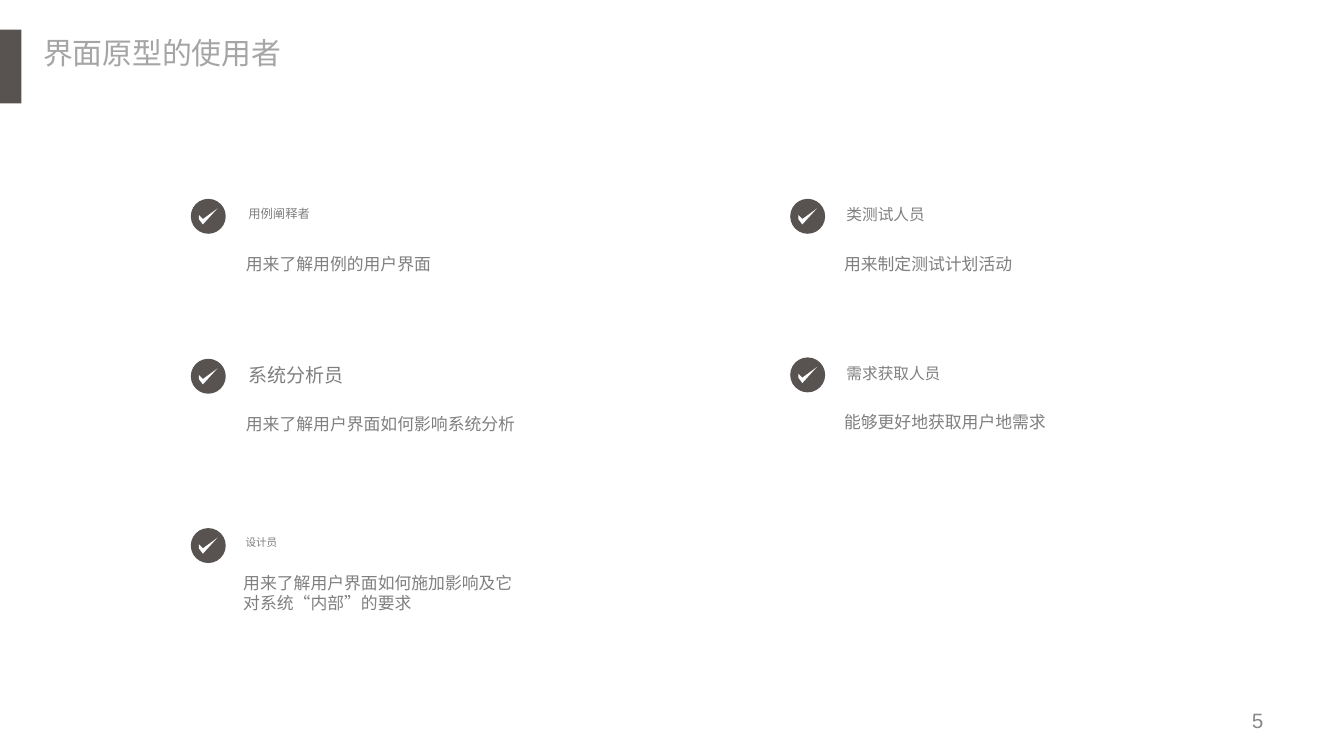
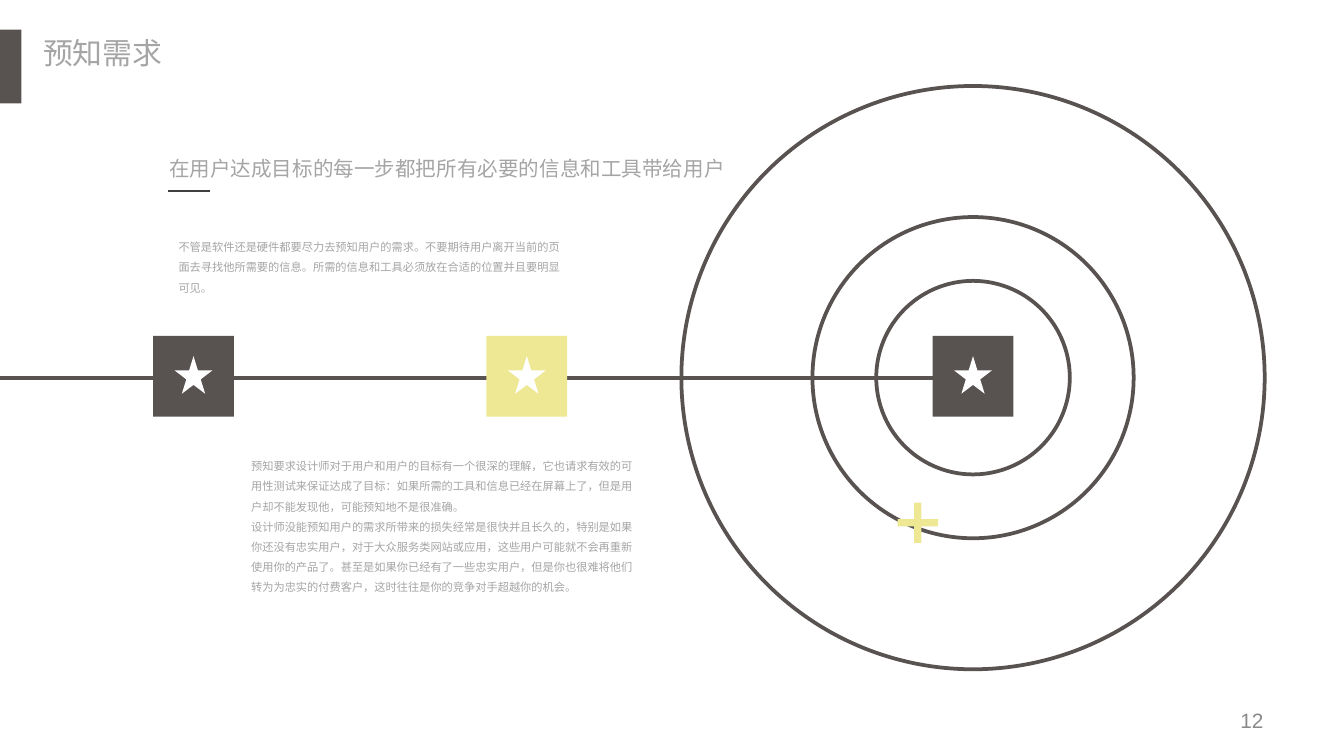
from lxml.etree import SubElement
from pptx import Presentation
from pptx.dml.color import RGBColor
from pptx.enum.shapes import MSO_CONNECTOR, MSO_SHAPE
from pptx.enum.text import MSO_ANCHOR, MSO_AUTO_SIZE, PP_ALIGN
from pptx.oxml.ns import qn
from pptx.util import Inches, Pt

DARK = RGBColor(0x58, 0x52, 0x51)
YELLOW = RGBColor(0xEE, 0xE8, 0x95)
WHITE = RGBColor(0xFF, 0xFF, 0xFF)
TITLE_GRAY = RGBColor(0xA5, 0xA5, 0xA5)
TEXT_GRAY = RGBColor(0x7F, 0x7F, 0x7F)
NUMBER_GRAY = RGBColor(0x89, 0x89, 0x89)
RULE_GRAY = RGBColor(0x3F, 0x3F, 0x3F)
CHINESE_FONT = "Noto Sans CJK SC"
TITLE_SIZE = 16

BADGE_SIZE = 0.26
CHECK_POINTS = [(0.06, 0.15), (0.09, 0.19), (0.19, 0.08), (0.2, 0.07), (0.09, 0.15), (0.06, 0.12)]
# left, top, text indent, label, label size, label height, line spacing, description
USERS = [
    (1.42, 1.48, 0.33, "用例阐释者", 6.6, 0.22, 0.8, "用来了解用例的用户界面"),
    (5.88, 1.48, 0.32, "类测试人员", 8.4, 0.24, 0.8, "用来制定测试计划活动"),
    (1.42, 2.67, 0.33, "系统分析员", 10.2, 0.28, 0.9, "用来了解用户界面如何影响系统分析"),
    (5.88, 2.66, 0.32, "需求获取人员", 8.4, 0.24, 0.8, "能够更好地获取用户地需求"),
    (1.42, 3.93, 0.31, "设计员", 5.7, 0.21, 0.8, "用来了解用户界面如何施加影响及它对系统“内部”的要求"),
]

CENTER_X, CENTER_Y = 7.24, 2.81
RING_DIAMETERS = [1.44, 2.39, 4.34]
TILE_SIZE = 0.6
STAR_SIZE = 0.28
TILES = [(1.44, DARK), (3.92, YELLOW), (CENTER_X, DARK)]

INTRODUCTION = "不管是软件还是硬件都要尽力去预知用户的需求。不要期待用户离开当前的页面去寻找他所需要的信息。所需的信息和工具必须放在合适的位置并且要明显可见。"
EXPLANATION = (
    "预知要求设计师对于用户和用户的目标有一个很深的理解，它也请求有效的可用性测试来保证达成了目标：如果所需的工具和信息已经在屏幕上了，但是用户却不能发现他，可能预知地不是很准确。\n"
    "设计师没能预知用户的需求所带来的损失经常是很快并且长久的，特别是如果你还没有忠实用户，对于大众服务类网站或应用，这些用户可能就不会再重新使用你的产品了。"
    "甚至是如果你已经有了一些忠实用户，但是你也很难将他们转为为忠实的付费客户，这时往往是你的竞争对手超越你的机会。"
)


def add_text(slide, text, left, top, width, height, *, size, color=TEXT_GRAY,
             font=CHINESE_FONT, align=PP_ALIGN.LEFT, anchor=MSO_ANCHOR.TOP,
             spacing=1.0, margins=(0.1, 0.05, 0.1, 0.05), wrap=True, grow=False):
    """Add a text box; each line of the text becomes a paragraph."""
    box = slide.shapes.add_textbox(Inches(left), Inches(top), Inches(width), Inches(height))
    frame = box.text_frame
    frame.word_wrap = wrap
    frame.auto_size = MSO_AUTO_SIZE.SHAPE_TO_FIT_TEXT if grow else MSO_AUTO_SIZE.NONE
    frame.vertical_anchor = anchor
    frame.margin_left, frame.margin_top, frame.margin_right, frame.margin_bottom = map(Inches, margins)
    frame.text = text
    for paragraph in frame.paragraphs:
        paragraph.alignment = align
        paragraph.line_spacing = spacing
        run = paragraph.runs[0]
        run.font.size = Pt(size)
        run.font.name = font
        run.font.color.rgb = color
        SubElement(run.font._element, qn("a:ea"), typeface=CHINESE_FONT)


def paint(shape, fill=None, line=None):
    shape.shadow.inherit = False
    if fill is None:
        shape.fill.background()
    else:
        shape.fill.solid()
        shape.fill.fore_color.rgb = fill
    if line is None:
        shape.line.fill.background()
    else:
        shape.line.color.rgb = line
        shape.line.width = Pt(2)


def add_preset(slide, kind, left, top, width, height, fill=None, line=None):
    shape = slide.shapes.add_shape(kind, Inches(left), Inches(top), Inches(width), Inches(height))
    paint(shape, fill, line)
    return shape


def add_centered(slide, kind, x, y, size, fill=None, line=None):
    return add_preset(slide, kind, x - size / 2, y - size / 2, size, size, fill, line)


def add_rule(slide, left, right, y, color, width):
    rule = slide.shapes.add_connector(
        MSO_CONNECTOR.STRAIGHT, Inches(left), Inches(y), Inches(right), Inches(y))
    rule.line.color.rgb = color
    rule.line.width = Pt(width)
    SubElement(rule._element.spPr, qn("a:effectLst"))


def add_base_slide(presentation, title, number):
    """Add a blank slide with the side band, title and page number."""
    slide = presentation.slides.add_slide(presentation.slide_layouts[6])
    add_text(slide, str(number), 7.17, 5.22, 2.33, 0.3, size=11.1, color=NUMBER_GRAY,
             font="Arial", align=PP_ALIGN.RIGHT, anchor=MSO_ANCHOR.MIDDLE, spacing=0.9)
    add_preset(slide, MSO_SHAPE.RECTANGLE, 0, 0.22, 0.16, 0.55, DARK)
    title_width = 0.18 + len(title) * TITLE_SIZE / 72
    add_text(slide, title, 0.24, 0.22, title_width, 0.34, size=TITLE_SIZE,
             color=TITLE_GRAY, margins=(0.08, 0.04, 0.08, 0.04), wrap=False, grow=True)
    return slide


def add_check_badge(slide, left, top):
    add_preset(slide, MSO_SHAPE.OVAL, left, top, BADGE_SIZE, BADGE_SIZE, DARK)
    points = [(Inches(left + x), Inches(top + y)) for x, y in CHECK_POINTS]
    builder = slide.shapes.build_freeform(*points[0])
    builder.add_line_segments(points[1:], close=True)
    paint(builder.convert_to_shape(), WHITE)


def add_user(slide, left, top, indent, label, size, label_height, spacing, description):
    add_check_badge(slide, left, top)
    label_top = top + min(0.01, 0.13 - label_height / 2)
    add_text(slide, label, left + indent, label_top, 1.5, label_height,
             size=size, anchor=MSO_ANCHOR.MIDDLE, spacing=spacing)
    add_text(slide, description, left + indent + 0.08, top + 0.23, 2.18, 0.5, size=9,
             anchor=MSO_ANCHOR.MIDDLE, margins=(0, 0.05, 0.1, 0.05))


def add_star_tile(slide, x, y, color):
    add_centered(slide, MSO_SHAPE.RECTANGLE, x, y, TILE_SIZE, color)
    add_centered(slide, MSO_SHAPE.STAR_5_POINT, x, y - 0.01, STAR_SIZE, WHITE)


def add_target(slide, x, y):
    """Draw the rings, the line leading to their centre and the star tiles on it."""
    for diameter in RING_DIAMETERS:
        add_centered(slide, MSO_SHAPE.OVAL, x, y, diameter, line=DARK)
    add_rule(slide, 0, x, y, DARK, 2)
    for tile_x, color in TILES:
        add_star_tile(slide, tile_x, y - 0.01, color)
    plus = add_centered(slide, MSO_SHAPE.CROSS, x - 0.41, y + 1.08, 0.3, YELLOW)
    plus.adjustments[0] = 0.41


def add_explanation(slide, left, top):
    add_text(slide, "在用户达成目标的每一步都把所有必要的信息和工具带给用户", left, top, 4.34, 0.29,
             size=11, color=TITLE_GRAY, font="Calibri", wrap=False, grow=True)
    add_rule(slide, left + 0.09, left + 0.4, top + 0.31, RULE_GRAY, 1)
    body = dict(size=6, color=TITLE_GRAY, font="Arial", spacing=1.5, grow=True)
    add_text(slide, INTRODUCTION, left + 0.07, top + 0.58, 3.08, 0.55, **body)
    add_text(slide, EXPLANATION, left + 0.61, top + 2.21, 3.08, 1.15, **body)


def build_users_slide(presentation):
    slide = add_base_slide(presentation, "界面原型的使用者", 5)
    for user in USERS:
        add_user(slide, *user)


def build_anticipation_slide(presentation):
    slide = add_base_slide(presentation, "预知需求", 12)
    add_target(slide, CENTER_X, CENTER_Y)
    add_explanation(slide, 1.16, 1.11)


def main():
    presentation = Presentation()
    presentation.slide_width = Inches(10)
    presentation.slide_height = Inches(10 * 9 / 16)
    build_users_slide(presentation)
    build_anticipation_slide(presentation)
    presentation.save("out.pptx")


if __name__ == "__main__":
    main()
